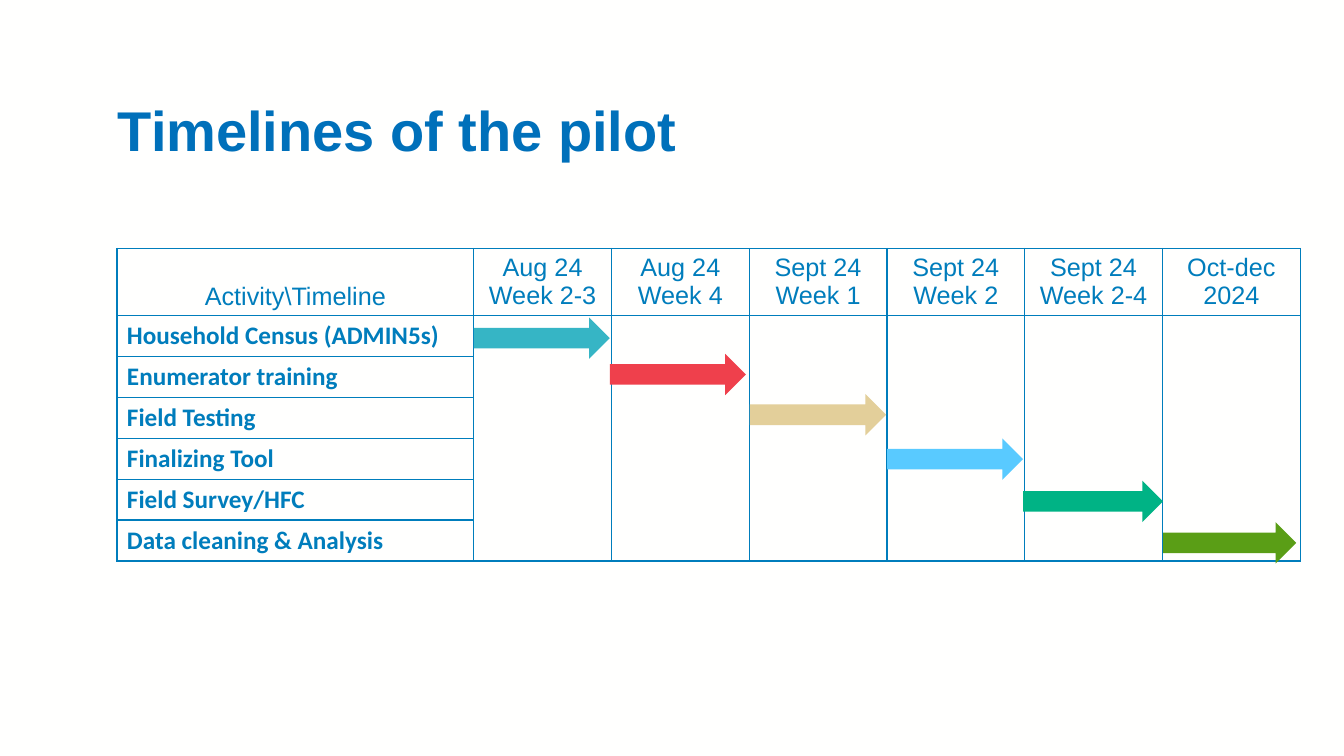
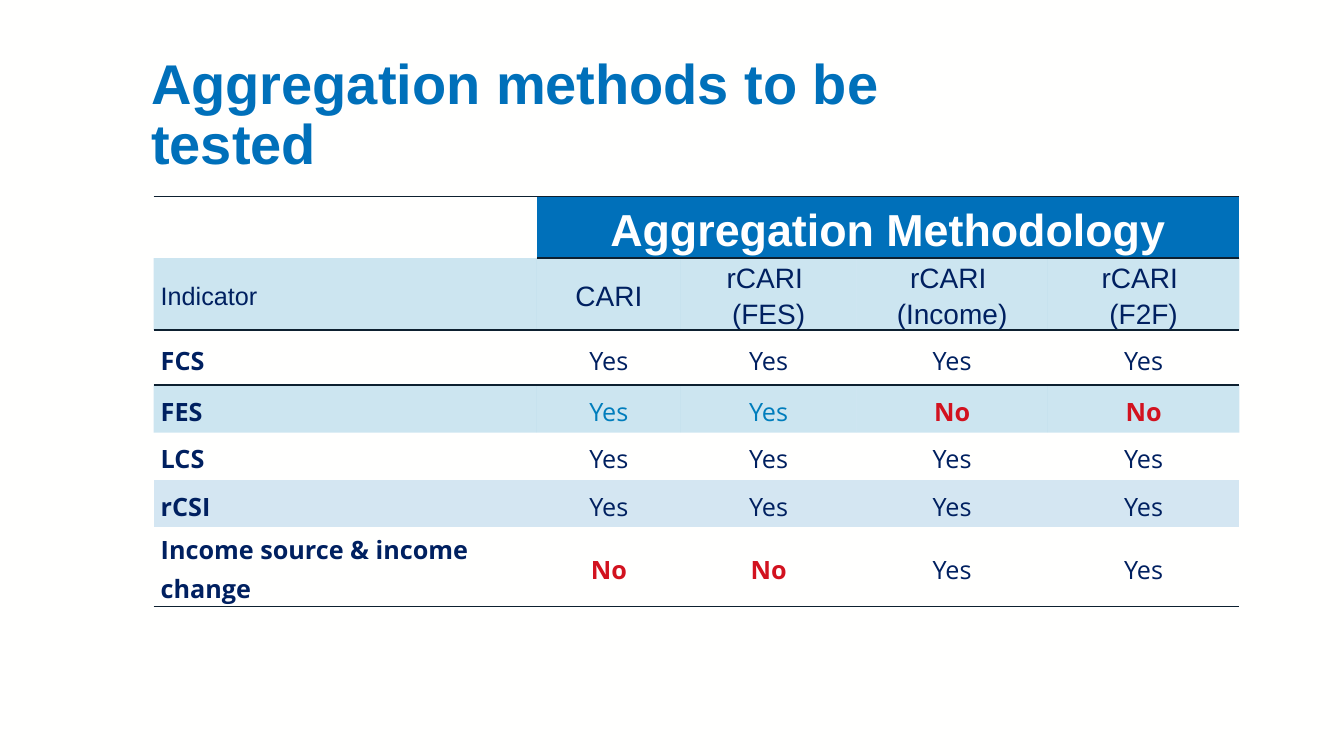
from dataclasses import dataclass
from typing import Optional

from lxml import etree
from pptx import Presentation
from pptx.dml.color import RGBColor
from pptx.enum import shapes, text
from pptx.oxml import ns
from pptx.util import Pt

COLORS = {
    "background": "FFFFFE",
    "title": "0070BA",
    "blue": "007DBC",
    "navy": "002060",
    "rule": "0D2030",
    "red": "D2121F",
    "pale": "D4E6F2",
    "white": "FFFFFF",
}
NO_STYLE = "{2D5ABB26-0587-4C30-8999-92F81FD0307C}"
LEFT, CENTER = text.PP_ALIGN.LEFT, text.PP_ALIGN.CENTER
TOP, MIDDLE, BOTTOM = (text.MSO_ANCHOR.TOP, text.MSO_ANCHOR.MIDDLE,
                       text.MSO_ANCHOR.BOTTOM)


@dataclass(frozen=True)
class Style:
    size: float
    font: str
    color: str
    bold: bool = False
    align: text.PP_ALIGN = LEFT
    spacing: float = 1.0


@dataclass(frozen=True)
class Box:
    left: float
    top: float
    width: float
    height: float

    def lengths(self) -> tuple:
        return Pt(self.left), Pt(self.top), Pt(self.width), Pt(self.height)


@dataclass(frozen=True)
class Activity:
    name: str
    color: str
    left: float
    top: float
    width: float


@dataclass(frozen=True)
class Indicator:
    name: str
    answers: tuple
    fill: Optional[str] = None
    alpha: int = 100
    yes_color: str = "navy"


TITLE = Style(40, "Arial", "title", True, LEFT, 0.9)
PERIOD = Style(18, "Arial", "blue", align=CENTER)
ACTIVITY = Style(18, "Calibri", "blue", True)
BANNER = Style(32, "Arial", "white", True, CENTER, 1.15)
CORNER = Style(18, "Arial", "navy", spacing=1.15)
METHOD = Style(20, "Arial", "navy", align=CENTER, spacing=1.15)
INDICATOR = Style(18, "Open Sans", "navy", True, LEFT, 1.15)

PERIODS = ["Activity\\Timeline", "Aug 24\nWeek 2-3", "Aug 24\nWeek 4",
           "Sept 24\nWeek 1", "Sept 24\nWeek 2", "Sept 24\nWeek 2-4",
           "Oct-dec\n2024"]
ACTIVITIES = [
    Activity("Household Census (ADMIN5s)", "36B5C5", 338.4, 226.8, 97.2),
    Activity("Enumerator training", "EF404C", 435.6, 252.7, 97.2),
    Activity("Field Testing", "E3CF9A", 535.7, 281.5, 97.2),
    Activity("Finalizing Tool", "59CAFF", 633.6, 313.2, 97.2),
    Activity("Field Survey/HFC", "00B385", 730.8, 343.4, 100),
    Activity("Data cleaning & Analysis", "5A9E16", 830.9, 373, 95),
]
METHODS = ["CARI", "rCARI \n(FES)", "rCARI \n(Income)", "rCARI \n(F2F)"]
INDICATORS = [
    Indicator("FCS", ("Yes",) * 4),
    Indicator("FES", ("Yes", "Yes", "No", "No"), "blue", 20, "blue"),
    Indicator("LCS", ("Yes",) * 4),
    Indicator("rCSI", ("Yes",) * 4, "pale"),
    Indicator("Income source & income change", ("No", "No", "Yes", "Yes")),
]


def rgb(value: str) -> RGBColor:
    return RGBColor.from_string(COLORS.get(value, value))


def write(tf, content: str, style: Style) -> None:
    """Put each line of content in a paragraph of its own."""
    for i, line in enumerate(content.split("\n")):
        p = tf.add_paragraph() if i else tf.paragraphs[0]
        p.alignment = style.align
        p.line_spacing = style.spacing
        r = p.add_run()
        r.text = line
        r.font.size = Pt(style.size)
        r.font.name = style.font
        r.font.bold = style.bold
        r.font.color.rgb = rgb(style.color)


def add_titled_slide(prs, title: str, box: Box):
    s = prs.slides.add_slide(prs.slide_layouts[5])
    sp = s.shapes.title
    sp.left, sp.top, sp.width, sp.height = box.lengths()
    tf = sp.text_frame
    tf.word_wrap = True
    tf.auto_size = text.MSO_AUTO_SIZE.NONE
    tf.vertical_anchor = MIDDLE
    write(tf, title, TITLE)
    return s


def add_plain_table(s, left: float, top: float, widths: list, heights: list):
    """Add a table without any built-in style."""
    box = Box(left, top, sum(widths), sum(heights))
    frame = s.shapes.add_table(len(heights), len(widths), *box.lengths())
    table = frame.table
    table.first_row = table.horz_banding = False
    frame._element.find(".//" + ns.qn("a:tableStyleId")).text = NO_STYLE
    for column, width in zip(table.columns, widths):
        column.width = Pt(width)
    for row, height in zip(table.rows, heights):
        row.height = Pt(height)
    return table


def set_borders(cell, sides: str, color: str, width: float) -> None:
    """Rule the given sides, named in the order LRTB."""
    tc_pr = cell._tc.get_or_add_tcPr()
    for i, side in enumerate(sides):
        ln = etree.Element(ns.qn("a:ln" + side), w=str(int(Pt(width))))
        fill = etree.SubElement(ln, ns.qn("a:solidFill"))
        etree.SubElement(fill, ns.qn("a:srgbClr"), val=COLORS[color])
        tc_pr.insert(i, ln)


def set_fill(cell, color: Optional[str], alpha: int = 100) -> None:
    if color is None:
        cell.fill.background()
        return
    cell.fill.solid()
    cell.fill.fore_color.rgb = rgb(color)
    if alpha < 100:
        clr = cell._tc.tcPr.find(ns.qn("a:solidFill") + "/" + ns.qn("a:srgbClr"))
        etree.SubElement(clr, ns.qn("a:alpha"), val=str(alpha * 1000))


def write_method_cell(cell, content: str, style: Style,
                      fill: Optional[str] = None, alpha: int = 100) -> None:
    cell.margin_left = cell.margin_right = Pt(5)
    cell.margin_top = cell.margin_bottom = 0
    cell.vertical_anchor = MIDDLE
    set_fill(cell, fill, alpha)
    write(cell.text_frame, content, style)


def add_arrow(s, activity: Activity) -> None:
    box = Box(activity.left, activity.top, activity.width, 29.5)
    sp = s.shapes.add_shape(shapes.MSO_SHAPE.RIGHT_ARROW, *box.lengths())
    sp.shadow.inherit = False
    sp.fill.solid()
    sp.fill.fore_color.rgb = rgb(activity.color)
    sp.line.fill.background()


def build_timeline(prs) -> None:
    s = add_titled_slide(prs, "Timelines of the pilot",
                         Box(77, 44.6, 866.9, 101.5))
    rows = len(ACTIVITIES)
    table = add_plain_table(s, 83.5, 177.5, [254.9] + [98.4] * 6,
                            [48] + [29.2] * rows)
    for cell in table.iter_cells():
        set_fill(cell, None)
        set_borders(cell, "LRTB", "blue", 1)
    for col, period in enumerate(PERIODS):
        cell = table.cell(0, col)
        cell.vertical_anchor = TOP if col else BOTTOM
        write(cell.text_frame, period, PERIOD)
        if col:
            table.cell(1, col).merge(table.cell(rows, col))
    for row, activity in enumerate(ACTIVITIES, 1):
        write(table.cell(row, 0).text_frame, activity.name, ACTIVITY)
        add_arrow(s, activity)


def build_methods(prs) -> None:
    s = add_titled_slide(prs, "Aggregation methods to be tested",
                         Box(100.8, 47.5, 642.2, 71.3))
    table = add_plain_table(s, 109.8, 140.4, [273.6, 103, 125.3, 136.8, 136.8],
                            [44, 51.5, 39.3, 33.9, 33.9, 33.9, 56.4])
    last_row = len(INDICATORS) + 1
    set_fill(table.cell(0, 0), None)
    table.cell(0, 1).merge(table.cell(0, 4))
    write_method_cell(table.cell(0, 1), "Aggregation Methodology", BANNER, "title")

    write_method_cell(table.cell(1, 0), "Indicator", CORNER, "blue", 20)
    for col, method in enumerate(METHODS, 1):
        write_method_cell(table.cell(1, col), method, METHOD, "blue", 20)

    for row, item in enumerate(INDICATORS, 2):
        write_method_cell(table.cell(row, 0), item.name, INDICATOR,
                          item.fill, item.alpha)
        for col, answer in enumerate(item.answers, 1):
            no = answer == "No"
            style = Style(18, "Open Sans", "red" if no else item.yes_color,
                          no, CENTER, 1.15)
            write_method_cell(table.cell(row, col), answer, style,
                              item.fill, item.alpha)

    for col in range(len(METHODS) + 1):
        ruled = {0: "TB" if col else "T", 1: "TB" if col else "B",
                 2: "T", last_row: "B"}
        for row, sides in ruled.items():
            set_borders(table.cell(row, col), sides, "rule", 1.5)


def main() -> None:
    prs = Presentation()
    prs.slide_width, prs.slide_height = Pt(960), Pt(540)
    fill = prs.slide_master.background.fill
    fill.solid()
    fill.fore_color.rgb = rgb("background")
    build_timeline(prs)
    build_methods(prs)
    prs.save("out.pptx")


if __name__ == "__main__":
    main()
